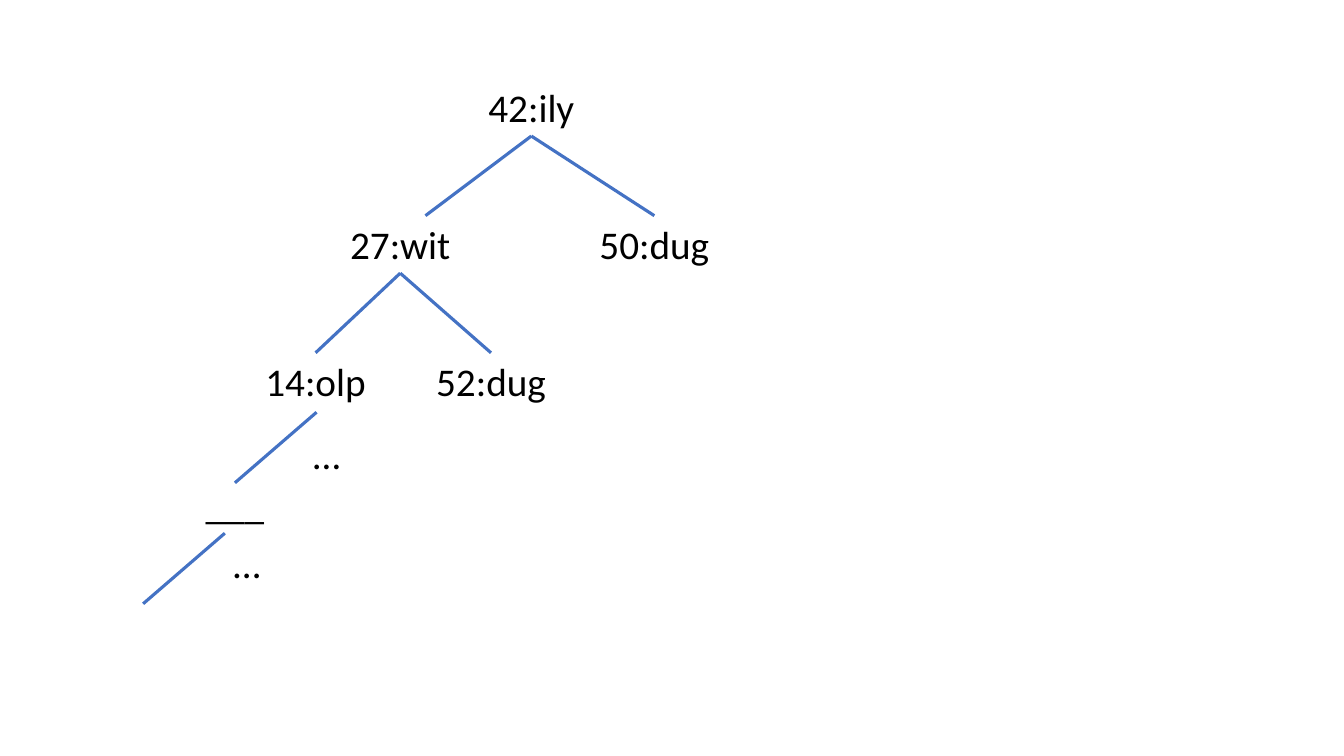
import pptx
import pptx.dml.color
import pptx.enum.shapes
import pptx.enum.text
import pptx.util
from pptx.util import Inches

BLACK = pptx.dml.color.RGBColor(0x00, 0x00, 0x00)
BLUE = pptx.dml.color.RGBColor(0x44, 0x72, 0xC4)
NODE_WIDTH, NODE_HEIGHT = 1.3, 0.57
LEVEL_STEP = 1.36
TOP, BOTTOM = 0, 2

# Label, left and top within the tree
NODES = {
    "root": ("42:ily", 3.2, 0),
    "left": ("27:wit", 1.9, LEVEL_STEP),
    "right": ("50:dug", 4.42, LEVEL_STEP),
    "left left": ("14:olp", 1.06, 2 * LEVEL_STEP),
    "left right": ("52:dug", 2.8, 2 * LEVEL_STEP),
    "blank": ("___", 0.26, 3.94),
    "upper dots": ("…", 1.17, 3.44),
    "lower dots": ("…", 0.38, 4.52),
}
JOINED_BRANCHES = [("root", "right"), ("left", "left left"), ("left", "left right")]
# Start of each loose branch within the tree, and its run
LOOSE_BRANCHES = [(1.72, 3.31), (0.81, 4.51)]
LOOSE_RUN = (-0.81, 0.7)


def add_node(page, label, left, top):
    box = page.shapes.add_textbox(
        Inches(left), Inches(top), Inches(NODE_WIDTH), Inches(NODE_HEIGHT))
    frame = box.text_frame
    frame.word_wrap = True
    frame.auto_size = pptx.enum.text.MSO_AUTO_SIZE.SHAPE_TO_FIT_TEXT
    para = frame.paragraphs[0]
    para.text = label
    para.alignment = pptx.enum.text.PP_ALIGN.CENTER
    para.font.size = pptx.util.Pt(28)
    para.font.name = "Calibri"
    para.font.color.rgb = BLACK
    return box


def add_branch(page, start_x=0, start_y=0, end_x=0, end_y=0):
    branch = page.shapes.add_connector(
        pptx.enum.shapes.MSO_CONNECTOR.STRAIGHT,
        Inches(start_x), Inches(start_y), Inches(end_x), Inches(end_y))
    branch.line.color.rgb = BLUE
    branch.line.width = pptx.util.Pt(2.25)
    properties = branch._element.spPr
    properties.append(pptx.oxml.parse_xml(
        '<a:effectLst xmlns:a="http://schemas.openxmlformats.org/drawingml/2006/main"/>'))
    return branch


def add_tree(page, left, top):
    # Nodes
    boxes = {name: add_node(page, label, left + x, top + y)
             for name, (label, x, y) in NODES.items()}

    # Branches that join two nodes
    for parent, child in JOINED_BRANCHES:
        branch = add_branch(page)
        branch.begin_connect(boxes[parent], BOTTOM)
        branch.end_connect(boxes[child], TOP)

    # Branch that ends beside the middle of its child
    branch = add_branch(page, end_x=left + 2.8, end_y=top + LEVEL_STEP)
    branch.begin_connect(boxes["root"], BOTTOM)

    # Loose branches toward the unfinished levels
    run_x, run_y = LOOSE_RUN
    for x, y in LOOSE_BRANCHES:
        add_branch(page, left + x, top + y, left + x + run_x, top + y + run_y)


def main():
    deck = pptx.Presentation()
    deck.slide_width, deck.slide_height = Inches(13.33), Inches(7.5)
    page = deck.slides.add_slide(deck.slide_layouts[6])
    add_tree(page, 1.42, 0.78)
    deck.save("out.pptx")


if __name__ == "__main__":
    main()
